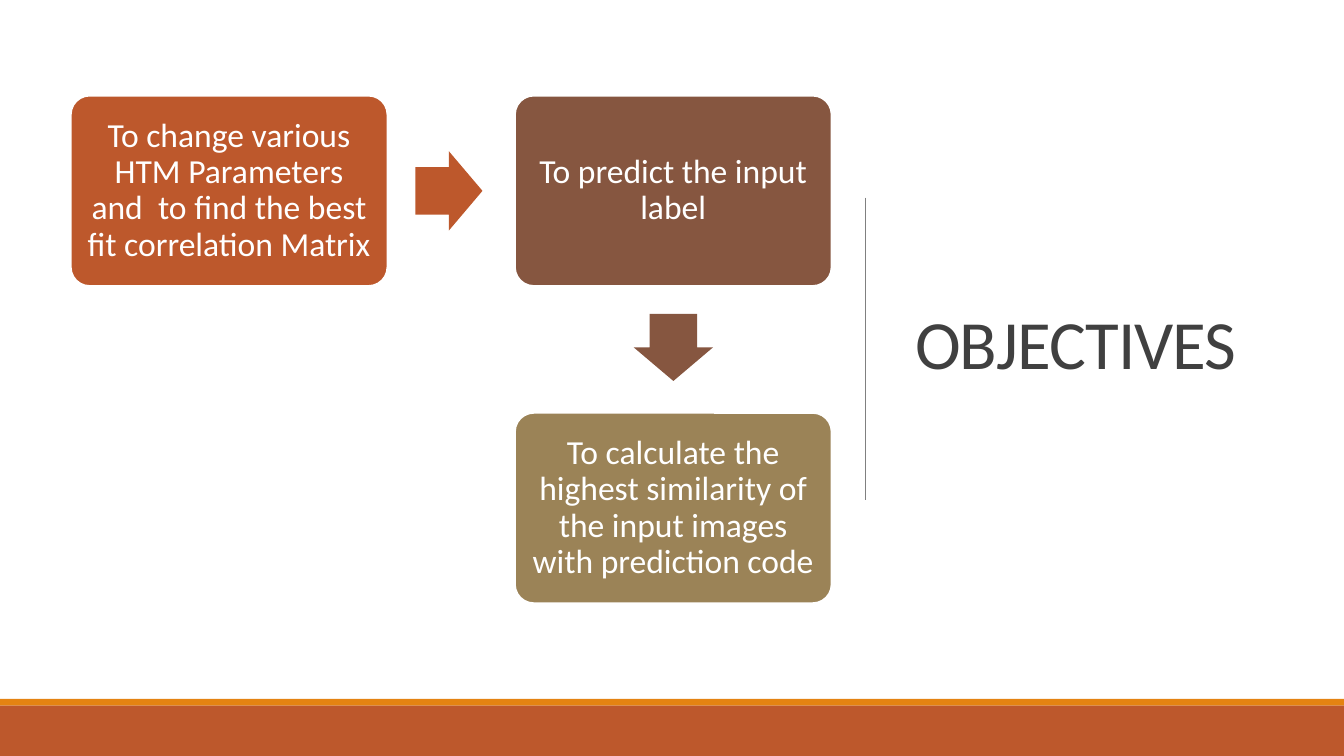
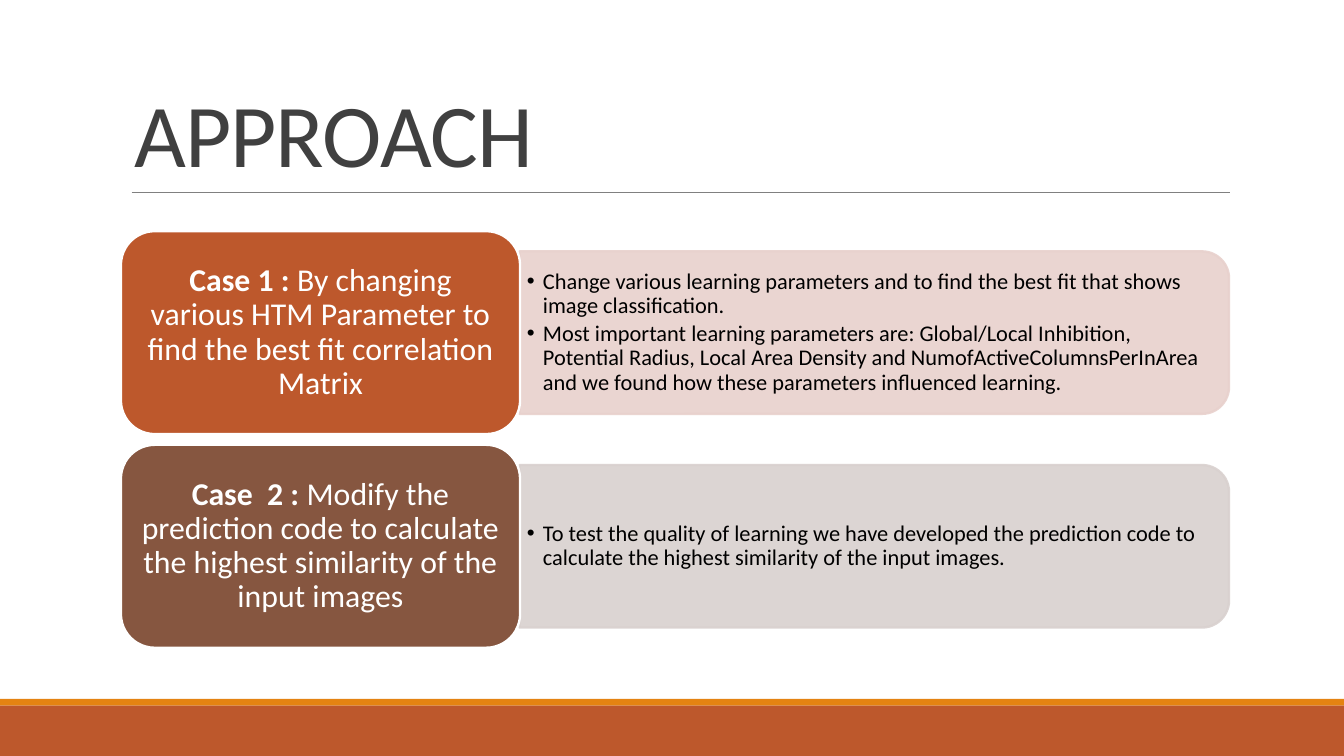
"""Build the objectives and approach slides."""
from lxml import etree
from pptx import Presentation, util as u
from pptx.dml.color import RGBColor
from pptx.enum import shapes, text
from pptx.oxml.ns import qn

PX = 4572
FONT = "Calibri"
WHITE, BLACK, INK, RULE = "FFFFFF", "000000", "404040", "808080"
RUST, BROWN, OLIVE, ORANGE = "BD582C", "865640", "9B8357", "E48312"
KIND, ALIGN, ANCHOR = shapes.MSO_SHAPE, text.PP_ALIGN, text.MSO_ANCHOR
rgb = RGBColor.from_string


def add_box(s, kind, box, fill, line=None, adj=()):
    """Add a flat preset shape, with an outline if a line colour is given."""
    sp = s.shapes.add_shape(kind, *(v * PX for v in box))
    sp.shadow.inherit = False
    sp.fill.solid()
    sp.fill.fore_color.rgb = rgb(fill)
    if line:
        sp.line.color.rgb = rgb(line)
        sp.line.width = u.Pt(1.25)
    else:
        sp.line.fill.background()
    for i, value in enumerate(adj):
        sp.adjustments[i] = value
    return sp


def write(sp, paragraphs, size, color, align, anchor, inset, spacing=0.9):
    """Fill a shape with paragraphs, each a list of (text, bold) runs."""
    tf = sp.text_frame
    across, down = (v * PX for v in inset)
    frame = dict(word_wrap=True, auto_size=text.MSO_AUTO_SIZE.NONE, vertical_anchor=anchor,
                 margin_left=across, margin_right=across, margin_top=down, margin_bottom=down)
    for name, value in frame.items():
        setattr(tf, name, value)
    for i, runs in enumerate(paragraphs):
        p = tf.add_paragraph() if i else tf.paragraphs[0]
        layout = dict(alignment=align, line_spacing=spacing,
                      space_before=u.Pt(0), space_after=u.Pt(2))
        for name, value in layout.items():
            setattr(p, name, value)
        for words, bold in runs:
            r = p.add_run()
            r.text = words
            r.font.color.rgb = rgb(color)
            for name, value in dict(name=FONT, size=u.Pt(size), bold=bold).items():
                setattr(r.font, name, value)


prs = Presentation()
prs.slide_width, prs.slide_height = 2000 * PX, 1125 * PX

pages = [
    (5, "OBJECTIVES", 37, (1342, 104, 554, 830), ANCHOR.MIDDLE, (1288, 294, 1288, 744)),
    (3, "APPROACH", 48, (180, 48, 1650, 238), ANCHOR.BOTTOM, (196, 286, 1830, 286)),
]
for layout, title, size, box, anchor, rule in pages:
    s = prs.slides.add_slide(prs.slide_layouts[layout])
    sp = s.shapes.title
    sp.left, sp.top, sp.width, sp.height = (v * PX for v in box)
    write(sp, [[(title, False)]], size, INK, ALIGN.LEFT, anchor, (20, 10), 0.85)
    sp.text_frame.paragraphs[0].runs[0].font._element.set("spc", "-50")
    line = s.shapes.add_connector(shapes.MSO_CONNECTOR.STRAIGHT, *(v * PX for v in rule))
    line.line.color.rgb = rgb(RULE)
    line.line.width = u.Pt(0.5)
    etree.SubElement(line.element.spPr, qn("a:effectLst"))
    add_box(s, KIND.RECTANGLE, (0, 1040, 2000, 10), ORANGE)
    add_box(s, KIND.RECTANGLE, (0, 1050, 2000, 75), RUST)

objectives, approach = prs.slides

steps = [
    (0, 0, RUST, "To change various HTM Parameters and  to find the best fit correlation Matrix"),
    (1, 0, BROWN, "To predict the input label"),
    (1, 1, OLIVE, "To calculate the highest similarity of the input images with prediction code"),
]
for col, row, color, words in steps:
    box = (105 + col * 661, 142 + row * 472, 472, 284)
    sp = add_box(objectives, KIND.ROUNDED_RECTANGLE, box, color, WHITE, (0.1,))
    write(sp, [[(words, False)]], 18, WHITE, ALIGN.CENTER, ANCHOR.MIDDLE, (14, 14))

for x, y, turn, color in [(618, 225, 0, RUST), (952, 458, 90, BROWN)]:
    sp = add_box(objectives, KIND.RIGHT_ARROW, (x, y, 100, 118), color, adj=(0.6, 0.5))
    sp.rotation = turn

cases = [
    (RUST, "E8D1CD", "Case 1 : ",
     "By changing various HTM Parameter to find the best fit correlation Matrix",
     ["Change various learning parameters and to find the best fit that shows "
      "image classification.",
      "Most important learning parameters are: Global/Local Inhibition, Potential Radius, "
      "Local Area Density and NumofActiveColumnsPerInArea and we found how these "
      "parameters influenced learning."]),
    (BROWN, "D9D1CF", "Case  2 : ",
     "Modify the prediction code to calculate the highest similarity of the input images",
     ["To test the quality of learning we have developed the prediction code to calculate "
      "the highest similarity of the input images."]),
]
for i, (color, tint, case, summary, points) in enumerate(cases):
    top = 344 + i * 318
    panel = add_box(approach, KIND.ROUND_2_SAME_RECTANGLE, (1180, top - 377, 242, 1056), tint, tint)
    panel.rotation = 90
    for clr in panel.element.spPr.iter(qn("a:srgbClr")):
        etree.SubElement(clr, qn("a:alpha"), val="90000")

    body = approach.placeholders[i + 1]
    body.left, body.top, body.width, body.height = (v * PX for v in (774, top + 42, 1044, 218))
    write(body, [[(point, False)] for point in points], 12, BLACK,
          ALIGN.LEFT, ANCHOR.MIDDLE, (10, 6))
    for p in body.text_frame.paragraphs:
        pPr = p._p.get_or_add_pPr()
        pPr.set("marL", str(24 * PX))
        pPr.set("indent", str(-24 * PX))
    panel.element.addnext(body.element)

    label = add_box(approach, KIND.ROUNDED_RECTANGLE, (180, top, 594, 302), color, WHITE)
    write(label, [[(case, True), (summary, False)]], 17, WHITE,
          ALIGN.CENTER, ANCHOR.MIDDLE, (14, 8))

prs.save("out.pptx")
